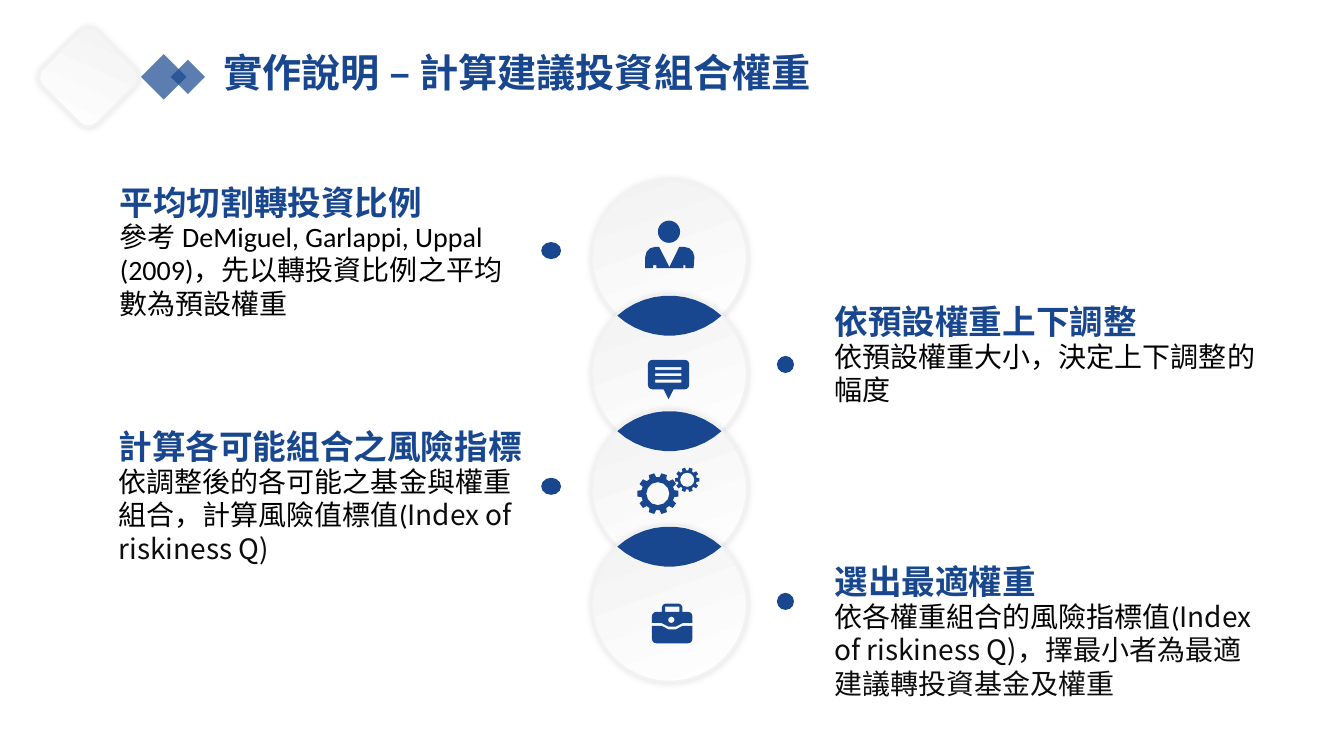
from math import acos, cos, degrees, radians, sin

from lxml.etree import SubElement
from pptx import Presentation
from pptx.dml.color import RGBColor
from pptx.enum.shapes import MSO_SHAPE
from pptx.enum.text import MSO_ANCHOR, MSO_AUTO_SIZE, PP_ALIGN
from pptx.oxml.ns import qn
from pptx.util import Cm, Pt

# Content
TITLE = "實作說明 – 計算建議投資組合權重"
LATIN, NOTO = "Calibri", "Noto Sans CJK SC"
BLUE, BLACK, DARK, WHITE, PALE = "18478F", "000000", "0D0D0D", "FFFFFF", "F2F2F2"
# heading, body runs (text, font, colour), left, top, width, heading height, body height
STEPS = [
    ("平均切割轉投資比例",
     [("參考 DeMiguel, Garlappi, Uppal (2009)，先以轉投資比例之平均數為預設權重", LATIN, BLACK)],
     2.77, 4.45, 10.8, 1.27, 3.68),
    ("依預設權重上下調整",
     [("依預設權重大小，決定上下調整的幅度", LATIN, BLACK)],
     20.78, 7.47, 11.13, 1.27, 1.96),
    ("計算各可能組合之風險指標",
     [("依調整後的各可能之基金與權重組合，計算風險值標值(", LATIN, BLACK),
      ("Index of riskiness Q)", NOTO, DARK)],
     2.74, 10.62, 10.8, 2.31, 3.68),
    ("選出最適權重",
     [("依各權重組合的風險指標值(", LATIN, BLACK),
      ("Index of riskiness Q)，擇最小者為最適建議轉投資基金及權重", NOTO, DARK)],
     20.78, 14.02, 11.13, 1.27, 4.52),
]
BODY_OFFSET = 0.95
# left, top, width of the bullet dots
DOTS = [(13.64, 6.1, 0.5), (19.58, 8.97, 0.43), (13.64, 12.04, 0.5), (19.58, 14.94, 0.43)]
DOT_HEIGHT = 0.43
# Chain of overlapping discs
CHAIN_X, FIRST_Y, RADIUS, PITCH = 16.87, 6.5, 1.96, 2.91
# centre x, centre y, tip radius, root radius, hole radius
GEARS = [(16.58, 12.44, 0.52, 0.42, 0.29), (17.32, 12.09, 0.31, 0.24, 0.18)]
TEETH = 10

prs = Presentation()
prs.slide_width, prs.slide_height = Cm(33.87), Cm(19.05)
s = prs.slides.add_slide(prs.slide_layouts[5])


def rgb(color):
    return RGBColor.from_string(color)


# Outlines: angles in degrees, clockwise from the top
def arc(x, y, r, start, end, step=30):
    n = round(abs(end - start) / step)
    angles = [radians(start + (end - start) * i / n) for i in range(n + 1)]
    return [(x + r * sin(a), y - r * cos(a)) for a in angles]


def box(x0, y0, x1, y1):
    return [(x0, y0), (x1, y0), (x1, y1), (x0, y1)]


def gear(x, y, tip, root, hole):
    outline = []
    for i in range(TEETH):
        middle = 90 + i * 360 / TEETH
        for r, turn in ((root, -12), (tip, -8), (tip, 8), (root, 12)):
            a = radians(middle + turn)
            outline.append((x + r * sin(a), y - r * cos(a)))
    return [outline, arc(x, y, hole, 0, 360)]


# Shape styles
def plain(sp, color=BLUE, alpha=None):
    sp.shadow.inherit = False
    sp.fill.solid()
    sp.fill.fore_color.rgb = rgb(color)
    sp.line.fill.background()
    if alpha:
        clr = sp._element.spPr.find(qn("a:solidFill"))[0]
        SubElement(clr, qn("a:alpha"), val=str(alpha * 1000))


def raised(sp):
    sp.fill.gradient()
    sp.fill.gradient_angle = 110
    for stop, color, position in zip(sp.fill.gradient_stops, (WHITE, PALE), (0, 1)):
        stop.color.rgb = rgb(color)
        stop.position = position
    sp.line.color.rgb = rgb(PALE)
    sp.line.width = Pt(2)
    sp.shadow.inherit = False
    effects = sp._element.spPr.find(qn("a:effectLst"))
    shadow = SubElement(effects, qn("a:outerShdw"), blurRad=str(Pt(5)), dist="0",
                        algn="ctr", rotWithShape="0")
    clr = SubElement(shadow, qn("a:srgbClr"), val=BLACK)
    SubElement(clr, qn("a:alpha"), val="11000")


def freeform(*contours):
    (x, y), *_ = contours[0]
    builder = s.shapes.build_freeform(Cm(x), Cm(y), scale=1.0)
    for i, contour in enumerate(contours):
        points = [(Cm(px), Cm(py)) for px, py in contour]
        if i:
            builder.move_to(*points[0])
        builder.add_line_segments(points[1:], close=True)
    return builder.convert_to_shape()


def preset(kind, x, y, w, h, rotation=0):
    sp = s.shapes.add_shape(kind, Cm(x), Cm(y), Cm(w), Cm(h))
    sp.rotation = rotation
    return sp


def style_heading(p, size):
    p.font.size, p.font.bold, p.font.name = Pt(size), True, LATIN
    p.font.color.rgb = rgb(BLUE)


def textbox(x, y, w, h):
    tf = s.shapes.add_textbox(Cm(x), Cm(y), Cm(w), Cm(h)).text_frame
    tf.word_wrap = True
    tf.auto_size = MSO_AUTO_SIZE.SHAPE_TO_FIT_TEXT
    return tf


# Disc chain with blue overlaps
t = degrees(acos(PITCH / 2 / RADIUS))
for i in range(len(STEPS)):
    y = FIRST_Y + i * PITCH
    raised(preset(MSO_SHAPE.OVAL, CHAIN_X - RADIUS, y - RADIUS, 2 * RADIUS, 2 * RADIUS))
    if i:
        plain(freeform(arc(CHAIN_X, y, RADIUS, -t, t, 8)
                       + arc(CHAIN_X, y - PITCH, RADIUS, 180 - t, 180 + t, 8)))

# Person icon
plain(preset(MSO_SHAPE.OVAL, 16.58, 5.56, 0.56, 0.56))
plain(freeform(
    [(16.26, 6.76), (16.46, 6.76), (16.46, 6.68), (16.54, 6.68), (16.54, 6.76), (17.22, 6.76),
     (17.22, 6.68), (17.27, 6.68), (17.27, 6.76), (17.48, 6.76)]
    + arc(17.24, 6.48, 0.26, 90, 0) + [(17.12, 6.22), (16.87, 6.73), (16.61, 6.22)]
    + arc(16.52, 6.48, 0.26, 0, -90)))

# Gears icon
for g in GEARS:
    plain(freeform(*gear(*g)))

# Briefcase icon
plain(freeform(
    [(16.43, 15.77)] + arc(16.94, 15.46, 0.41, 221, 139) + [(17.45, 15.77)]
    + arc(17.34, 16.1, 0.11, 90, 180) + arc(16.54, 16.1, 0.11, 180, 270)))
plain(freeform(
    [(16.43, 15.7)] + arc(16.94, 15.39, 0.41, 221, 139) + [(17.45, 15.7)]
    + arc(17.34, 15.53, 0.11, 90, 0) + [(17.2, 15.42)] + arc(17.09, 15.32, 0.11, 90, 0)
    + arc(16.79, 15.32, 0.11, 0, -90) + [(16.68, 15.42)] + arc(16.54, 15.53, 0.11, 0, -90),
    box(16.76, 15.29, 17.12, 15.42), arc(16.92, 15.62, 0.08, 0, 360)))

# Speech bubble icon
plain(freeform([(16.71, 9.78), (16.99, 9.78), (16.85, 10.06)]))
bubble = (arc(16.44, 9.18, 0.11, -90, 0) + arc(17.26, 9.18, 0.11, 0, 90)
          + arc(17.26, 9.7, 0.11, 90, 180) + arc(16.44, 9.7, 0.11, 180, 270))
slots = [box(16.51, 9.25 + 0.16 * i, 17.17, 9.32 + 0.16 * i) for i in range(3)]
plain(freeform(bubble, *slots))

# Bullet dots
for x, y, w in DOTS:
    plain(preset(MSO_SHAPE.OVAL, x, y, w, DOT_HEIGHT))

# Title ornament
for x, y, side in ((3.72, 1.53, 0.81), (4.43, 1.63, 0.61)):
    plain(preset(MSO_SHAPE.RECTANGLE, x, y, side, side, 225), alpha=70)
raised(preset(MSO_SHAPE.ROUNDED_RECTANGLE, 1.25, 0.97, 1.96, 1.96, 45))

# Title
title = s.shapes.title
title.left, title.top, title.width, title.height = Cm(5.38), Cm(1.09), Cm(17.22), Cm(1.45)
tf = title.text_frame
tf.text = TITLE
tf.vertical_anchor = MSO_ANCHOR.TOP
tf.auto_size = MSO_AUTO_SIZE.SHAPE_TO_FIT_TEXT
tf.paragraphs[0].alignment = PP_ALIGN.LEFT
style_heading(tf.paragraphs[0], 28)

# Step texts
for heading, runs, x, y, w, heading_h, body_h in STEPS:
    p = textbox(x, y + BODY_OFFSET, w, body_h).paragraphs[0]
    p.font.size = Pt(20)
    for text, font, color in runs:
        r = p.add_run()
        r.text, r.font.name = text, font
        r.font.color.rgb = rgb(color)
    tf = textbox(x, y, w, heading_h)
    tf.text = heading
    style_heading(tf.paragraphs[0], 24)

prs.save("out.pptx")
